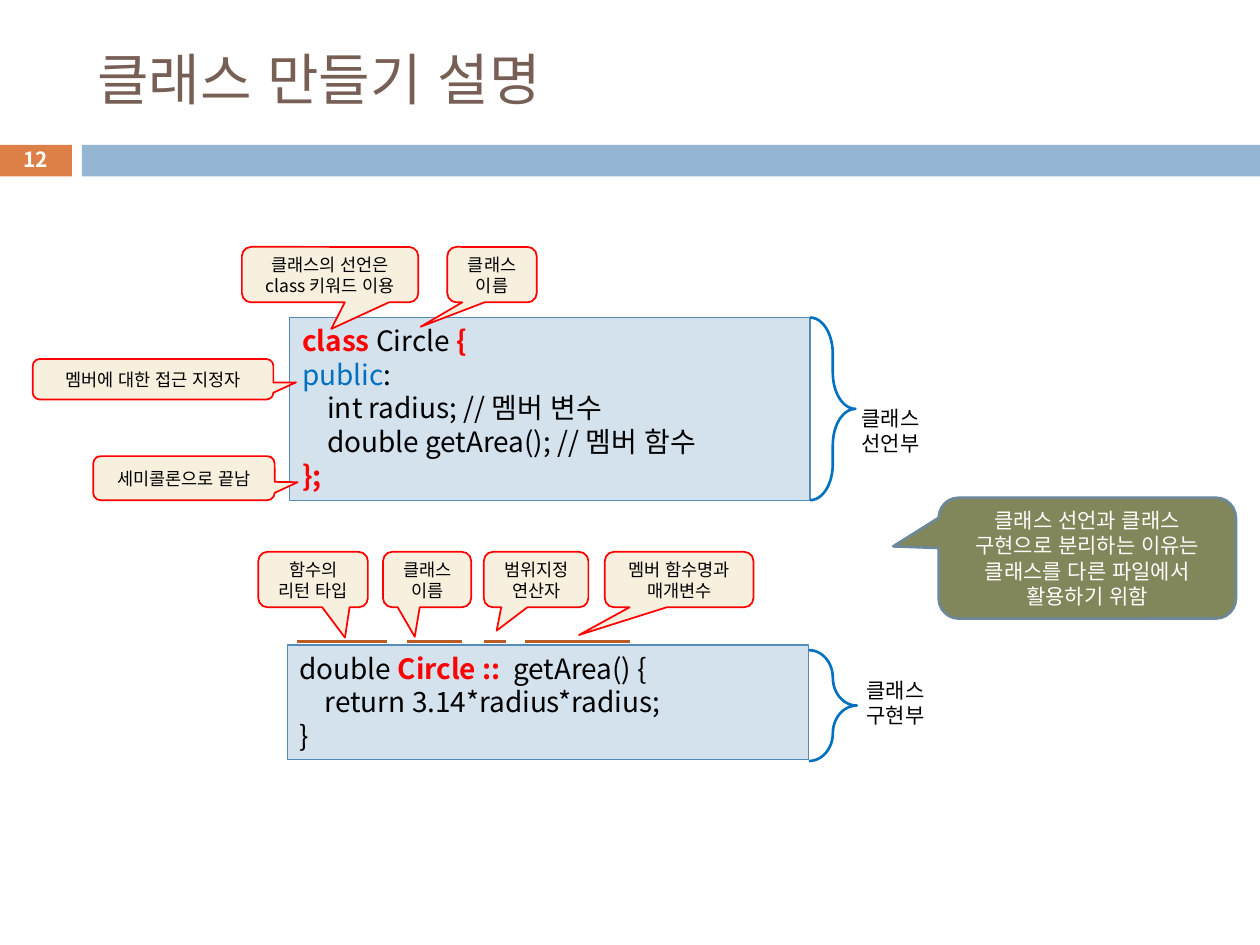
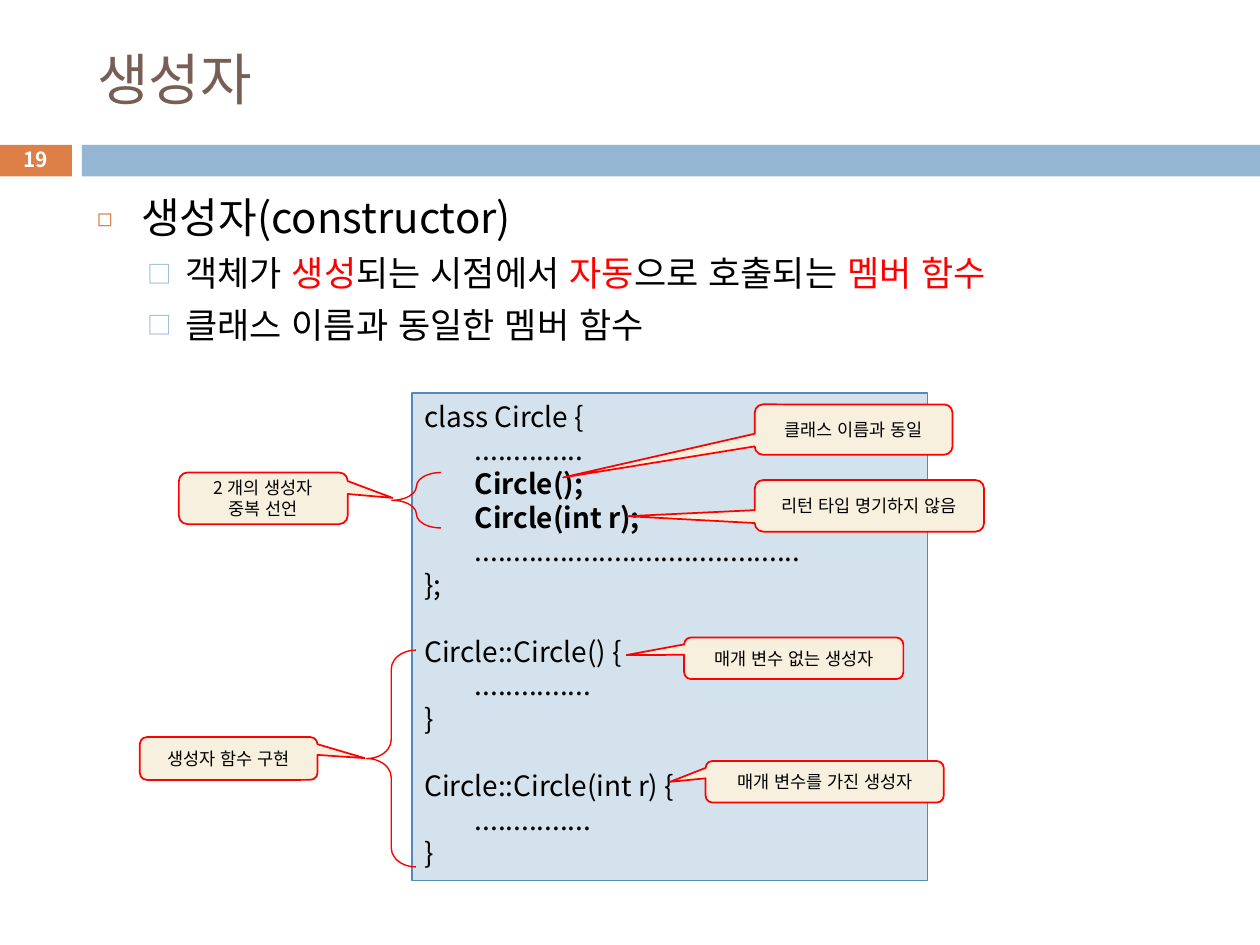
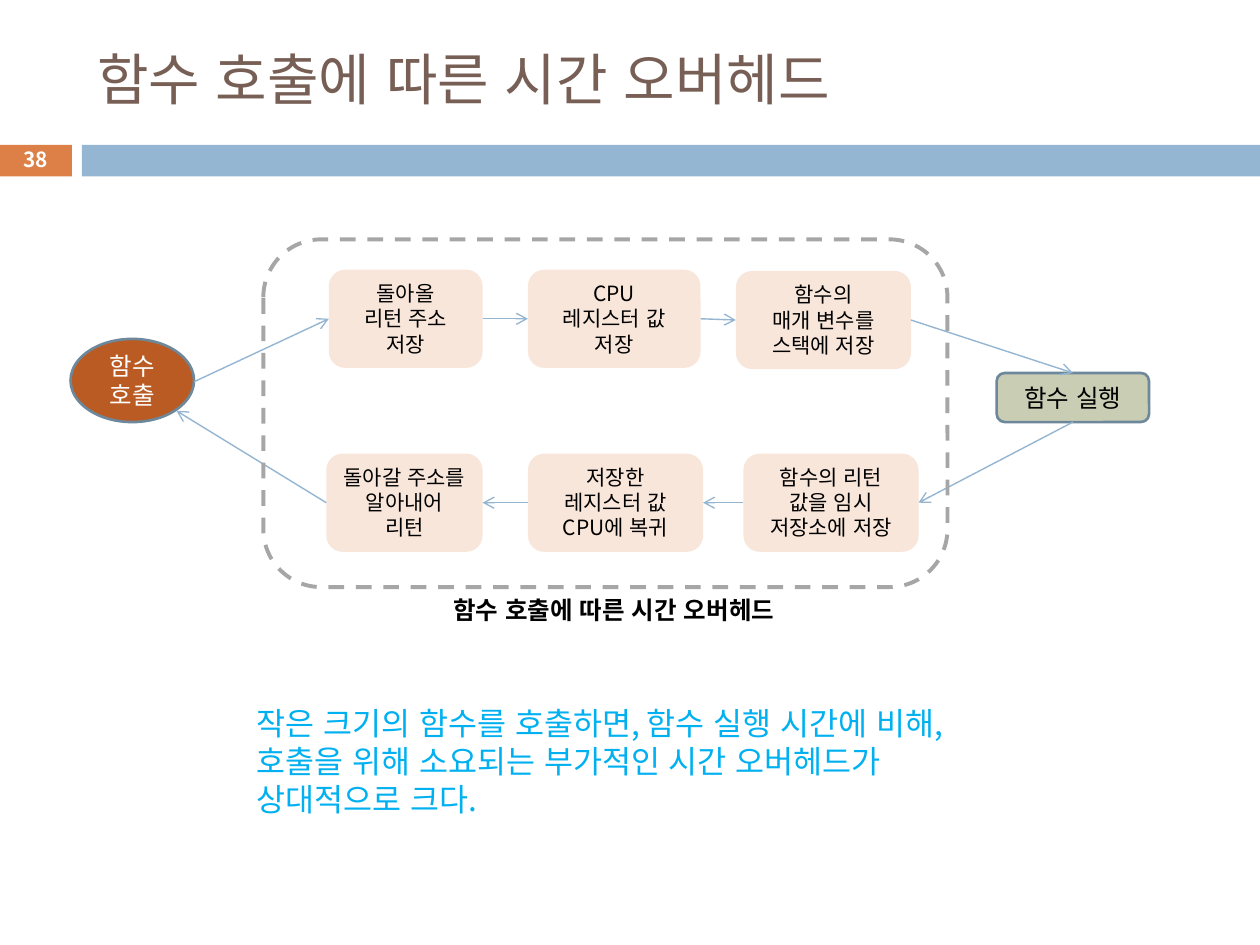
from lxml.etree import SubElement
from pptx import Presentation
from pptx.dml.color import RGBColor
from pptx.enum.dml import MSO_LINE
from pptx.enum.lang import MSO_LANGUAGE_ID as Language
from pptx.enum.shapes import MSO_CONNECTOR, MSO_SHAPE as Shape
from pptx.enum.text import MSO_ANCHOR as Anchor, MSO_AUTO_SIZE, PP_ALIGN as Align
from pptx.oxml.ns import qn
from pptx.util import Inches, Pt

FONT = "Noto Sans CJK KR"
LINE_HEIGHT = 1.2
TOP, LEFT, BOTTOM, RIGHT = range(4)
TITLE_ONLY, TITLE_AND_BODY = 5, 1

BLACK = RGBColor(0x00, 0x00, 0x00)
WHITE = RGBColor(0xFF, 0xFF, 0xFF)
RED = RGBColor(0xFF, 0x00, 0x00)
BROWN = RGBColor(0x77, 0x5F, 0x55)
ORANGE = RGBColor(0xDD, 0x80, 0x47)
RUST = RGBColor(0xB9, 0x5B, 0x22)
PEACH = RGBColor(0xF8, 0xE6, 0xDA)
CREAM = RGBColor(0xF7, 0xF0, 0xDE)
OLIVE = RGBColor(0x81, 0x87, 0x5A)
SAGE = RGBColor(0xC9, 0xCD, 0xB3)
SKY = RGBColor(0x94, 0xB6, 0xD2)
PALE_BLUE = RGBColor(0xD4, 0xE2, 0xED)
CODE_EDGE = RGBColor(0x55, 0x8B, 0xB8)
SLATE = RGBColor(0x6D, 0x87, 0x9B)
BLUE = RGBColor(0x00, 0x70, 0xC0)
CYAN = RGBColor(0x00, 0xB0, 0xF0)
GRAY = RGBColor(0xA6, 0xA6, 0xA6)


def inches(values):
    return [Inches(value) for value in values]


class Deck:
    def __init__(self):
        self.presentation = Presentation()
        self.presentation.slide_width = Inches(10)
        self.presentation.slide_height = Inches(7.5)
        self.slide = None

    def new_slide(self, title, number, layout=TITLE_ONLY):
        layouts = self.presentation.slide_layouts
        self.slide = self.presentation.slides.add_slide(layouts[layout])
        self.shape(Shape.RECTANGLE, (-0.01, 1.15, 0.58, 0.25), ORANGE)
        self.shape(Shape.RECTANGLE, (0.65, 1.15, 9.35, 0.25), SKY)
        heading = self.slide.shapes.title
        self.place(heading, (0.67, 0.25, 8.92, 0.74))
        self.set_lines(heading, [title], 32, BROWN, anchor=Anchor.MIDDLE)
        self.text((-0.01, 1.13, 0.58, 0.27), [[(str(number), WHITE, True)]],
                  11.9, align=Align.CENTER, anchor=Anchor.MIDDLE)

    def place(self, shape, box):
        shape.left, shape.top, shape.width, shape.height = inches(box)

    def add_run(self, paragraph, content, size, color):
        text, run_color, bold = (content, color, False) if isinstance(content, str) else content
        run = paragraph.add_run()
        run.text = text
        font = run.font
        font.size = Pt(size)
        font.bold = bold
        font.color.rgb = run_color
        font.name = FONT
        font.language_id = Language.KOREAN
        SubElement(font._element, qn("a:ea"), typeface=FONT)

    def add_paragraph(self, frame, index, line, size, color, align=Align.LEFT):
        paragraph = frame.add_paragraph() if index else frame.paragraphs[0]
        paragraph.alignment = align
        paragraph.line_spacing = Pt(size * LINE_HEIGHT)
        for content in [line] if isinstance(line, str) else line:
            self.add_run(paragraph, content, size, color)
        return paragraph

    def set_lines(self, shape, lines, size, color=BLACK, align=Align.LEFT, anchor=Anchor.TOP):
        frame = shape.text_frame
        frame.word_wrap = True
        frame.auto_size = MSO_AUTO_SIZE.NONE
        frame.vertical_anchor = anchor
        return [self.add_paragraph(frame, index, line, size, color, align)
                for index, line in enumerate(lines)]

    def text(self, box, lines, size, color=BLACK, **layout):
        self.set_lines(self.slide.shapes.add_textbox(*inches(box)), lines, size, color, **layout)

    def shape(self, kind, box, fill=None, edge=None, width=1, adjustments=()):
        shape = self.slide.shapes.add_shape(kind, *inches(box))
        shape.shadow.inherit = False
        if fill is None:
            shape.fill.background()
        else:
            shape.fill.solid()
            shape.fill.fore_color.rgb = fill
        if edge is None:
            shape.line.fill.background()
        else:
            shape.line.color.rgb = edge
            shape.line.width = Pt(width)
        for index, value in enumerate(adjustments):
            shape.adjustments[index] = value
        return shape

    def label(self, kind, box, lines, size, fill, edge=None, width=1, color=BLACK,
              anchor=Anchor.MIDDLE, adjustments=()):
        shape = self.shape(kind, box, fill, edge, width, adjustments)
        self.set_lines(shape, lines, size, color, Align.CENTER, anchor)
        return shape

    def callout(self, box, tip, *lines):
        self.label(Shape.ROUNDED_RECTANGULAR_CALLOUT, box, lines, 10, CREAM, RED,
                   adjustments=(*tip, 0.167))

    def step(self, box, *lines):
        return self.label(Shape.ROUNDED_RECTANGLE, box, lines, 12, PEACH, anchor=Anchor.TOP)

    def code(self, box, lines):
        shape = self.shape(Shape.RECTANGLE, box, PALE_BLUE, CODE_EDGE, 0.75)
        shown = [line for line in lines if line]
        paragraphs = self.set_lines(shape, shown, 16)
        starts = [index for index, line in enumerate(lines) if line]
        for paragraph, index in zip(paragraphs, starts):
            if index and not lines[index - 1]:
                paragraph.space_before = Pt(16 * LINE_HEIGHT)
            tabs = SubElement(paragraph._p.get_or_add_pPr(), qn("a:tabLst"))
            for position in (0.2, 0.4):
                SubElement(tabs, qn("a:tab"), pos=str(Inches(position)), algn="l")

    def brace(self, box, bend, color, width, rotation=0):
        brace = self.shape(Shape.RIGHT_BRACE, box, None, color, width, (bend, 0.5))
        brace.rotation = rotation

    def line(self, start, end, color, width):
        connector = self.slide.shapes.add_connector(
            MSO_CONNECTOR.STRAIGHT, *inches((*start, *end)))
        connector.line.color.rgb = color
        connector.line.width = Pt(width)
        SubElement(connector._element.spPr, qn("a:effectLst"))
        return connector

    def arrow(self, start=None, end=None, source=None, target=None):
        connector = self.line(start or (0, 0), end or (0, 0), SKY, 0.79)
        if source:
            connector.begin_connect(*source)
        if target:
            connector.end_connect(*target)
        SubElement(connector.line._get_or_add_ln(), qn("a:tailEnd"), type="arrow")

    def bullets(self, box, items):
        body = self.slide.placeholders[1]
        self.place(body, box)
        frame = body.text_frame
        frame.auto_size = MSO_AUTO_SIZE.NONE
        styles = [(24, 7, 0.35, 0.35, "◻", ORANGE, 60), (20, 5.5, 0.7, 0.3, "□", SKY, 70)]
        for index, (level, line) in enumerate(items):
            size, before, margin, hanging, mark, color, percent = styles[level]
            paragraph = self.add_paragraph(frame, index, line, size, BLACK)
            paragraph.level = level
            paragraph.space_before = Pt(before if index else 0)
            properties = paragraph._p.get_or_add_pPr()
            properties.set("marL", str(Inches(margin)))
            properties.set("indent", str(-Inches(hanging)))
            bullet_color = SubElement(properties, qn("a:buClr"))
            SubElement(bullet_color, qn("a:srgbClr"), val=str(color))
            SubElement(properties, qn("a:buSzPct"), val=str(percent * 1000))
            SubElement(properties, qn("a:buFont"), typeface=FONT)
            SubElement(properties, qn("a:buChar"), char=mark)


def class_slide(deck):
    deck.new_slide("클래스 만들기 설명", 12)
    deck.code((2.28, 5.12, 4.14, 0.91), [
        ["double ", ("Circle ::  ", RED, True), "getArea() {"],
        "\treturn 3.14*radius*radius;",
        "}",
    ])
    for left, right in [(2.36, 3.07), (3.23, 3.67), (3.84, 4.02), (4.17, 5)]:
        deck.line((left, 5.09), (right, 5.09), RUST, 1.5)
    for left, width, tip, lines in [
        (2.05, 0.87, (0.291, 1.048), ["함수의 리턴 타입"]),
        (3.04, 0.7, (-0.14, 1.032), ["클래스", "이름"]),
        (3.84, 0.83, (-0.377, 0.922), ["범위지정연산자"]),
        (4.8, 1.18, (-0.674, 1), ["멤버 함수명과 매개변수"]),
    ]:
        deck.callout((left, 4.38, width, 0.44), tip, *lines)
    deck.label(Shape.ROUNDED_RECTANGULAR_CALLOUT, (7.45, 3.95, 2.36, 0.96),
               ["클래스 선언과 클래스 구현으로 분리하는 이유는 클래스를 다른 파일에서 활용하기 위함"],
               12, OLIVE, SLATE, 1.5, WHITE, adjustments=(-0.653, -0.097, 0.167))
    deck.code((2.3, 2.52, 4.13, 1.45), [
        [("class ", RED, True), "Circle ", ("{", RED, True)],
        [("public", BLUE, False), ":"],
        "\tint radius; // 멤버 변수",
        "\tdouble getArea(); // 멤버 함수",
        [("};", RED, True)],
    ])
    deck.callout((0.74, 3.62, 1.44, 0.35), (0.627, 0.092), "세미콜론으로 끝남")
    deck.brace((6.43, 2.52, 0.36, 1.45), 0.797, BLUE, 1.5)
    deck.brace((6.42, 5.16, 0.38, 0.88), 0.712, BLUE, 1.5)
    deck.text((6.78, 5.33, 0.71, 0.5), ["클래스", "구현부"], 12)
    deck.text((6.74, 3.17, 0.71, 0.5), ["클래스", "선언부"], 12)
    deck.callout((1.92, 1.96, 1.4, 0.44), (0.007, 0.979), "클래스의 선언은 class 키워드 이용")
    deck.callout((3.55, 1.96, 0.71, 0.44), (-0.798, 0.94), "클래스 이름")
    deck.callout((0.26, 2.85, 1.91, 0.32), (0.594, 0.078), "멤버에 대한 접근 지정자")


def constructor_slide(deck):
    deck.new_slide("생성자", 19, TITLE_AND_BODY)
    deck.bullets((0.67, 1.47, 8.92, 1.88), [
        (0, "생성자(constructor)"),
        (1, ["객체가 ", ("생성", RED, False), "되는 시점에서 ", ("자동", RED, False),
             "으로 호출되는 ", ("멤버 함수", RED, False)]),
        (1, "클래스 이름과 동일한 멤버 함수"),
    ])
    deck.code((3.27, 3.12, 4.09, 3.87), [
        "class Circle {",
        "\t\t..............",
        [("\t\tCircle();", BLACK, True)],
        [("\t\tCircle(int r);", BLACK, True)],
        "\t\t..........................................",
        "};",
        "",
        "Circle::Circle() {",
        "\t\t...............",
        "}",
        "",
        "Circle::Circle(int r) {",
        "\t\t...............",
        "}",
    ])
    deck.callout((5.99, 3.81, 1.82, 0.41), (-1.054, 0.201), "리턴 타입 명기하지 않음")
    deck.callout((5.99, 3.21, 1.57, 0.4), (-1.469, 0.95), "클래스 이름과 동일")
    deck.brace((2.91, 5.16, 0.39, 1.72), 0.386, RED, 0.79, 180)
    deck.callout((1.42, 3.75, 1.34, 0.41), (0.766, -0.008), "2 개의 생성자", "중복 선언")
    deck.callout((5.43, 5.06, 1.74, 0.33), (-0.763, -0.077), "매개 변수 없는 생성자")
    deck.callout((5.6, 6.04, 1.89, 0.33), (-0.649, 0), "매개 변수를 가진 생성자")
    deck.brace((3.11, 3.75, 0.39, 0.44), 0.386, RED, 0.79, 180)
    deck.callout((1.11, 5.85, 1.41, 0.34), (0.766, -0.008), "생성자 함수 구현")


def overhead_slide(deck):
    deck.new_slide("함수 호출에 따른 시간 오버헤드", 38)
    save_address = deck.step((2.61, 2.14, 1.22, 0.78), "돌아올", "리턴 주소 저장")
    save_registers = deck.step((4.19, 2.14, 1.37, 0.78), "CPU", "레지스터 값", "저장")
    push_parameters = deck.step((5.84, 2.15, 1.39, 0.78), "함수의", "매개 변수를", "스택에 저장")
    keep_result = deck.step((5.9, 3.6, 1.39, 0.78), "함수의 리턴 값을 임시 저장소에 저장")
    restore_registers = deck.step((4.19, 3.6, 1.39, 0.78), "저장한", "레지스터 값", "CPU에 복귀")
    return_back = deck.step((2.59, 3.6, 1.24, 0.78), "돌아갈 주소를 알아내어", "리턴")
    deck.label(Shape.OVAL, (0.56, 2.69, 0.98, 0.66), ["함수 호출"], 14, RUST, SLATE, 1.5, WHITE)
    execute = deck.label(Shape.ROUNDED_RECTANGLE, (7.91, 2.96, 1.21, 0.39), ["함수 실행"],
                         14, SAGE, SLATE, 1.5)
    deck.arrow(start=(1.54, 3.03), target=(save_address, LEFT))
    for source, source_side, target, target_side in [
        (save_address, RIGHT, save_registers, LEFT),
        (save_registers, RIGHT, push_parameters, LEFT),
        (push_parameters, RIGHT, execute, TOP),
        (execute, BOTTOM, keep_result, RIGHT),
        (keep_result, LEFT, restore_registers, RIGHT),
        (restore_registers, LEFT, return_back, RIGHT),
    ]:
        deck.arrow(source=(source, source_side), target=(target, target_side))
    deck.arrow(end=(1.4, 3.26), source=(return_back, LEFT))
    deck.text((3.5, 4.67, 3.03, 0.34), [[("함수 호출에 따른 시간 오버헤드", BLACK, True)]], 14)
    frame = deck.shape(Shape.ROUNDED_RECTANGLE, (2.09, 1.9, 5.43, 2.76), None, GRAY, 2.25)
    frame.line.dash_style = MSO_LINE.DASH
    deck.text((1.94, 5.54, 6.22, 1.01),
              ["작은 크기의 함수를 호출하면, 함수 실행 시간에 비해, "
               "호출을 위해 소요되는 부가적인 시간 오버헤드가 상대적으로 크다."], 18, CYAN)


def main():
    deck = Deck()
    class_slide(deck)
    constructor_slide(deck)
    overhead_slide(deck)
    deck.presentation.save("out.pptx")


if __name__ == "__main__":
    main()
